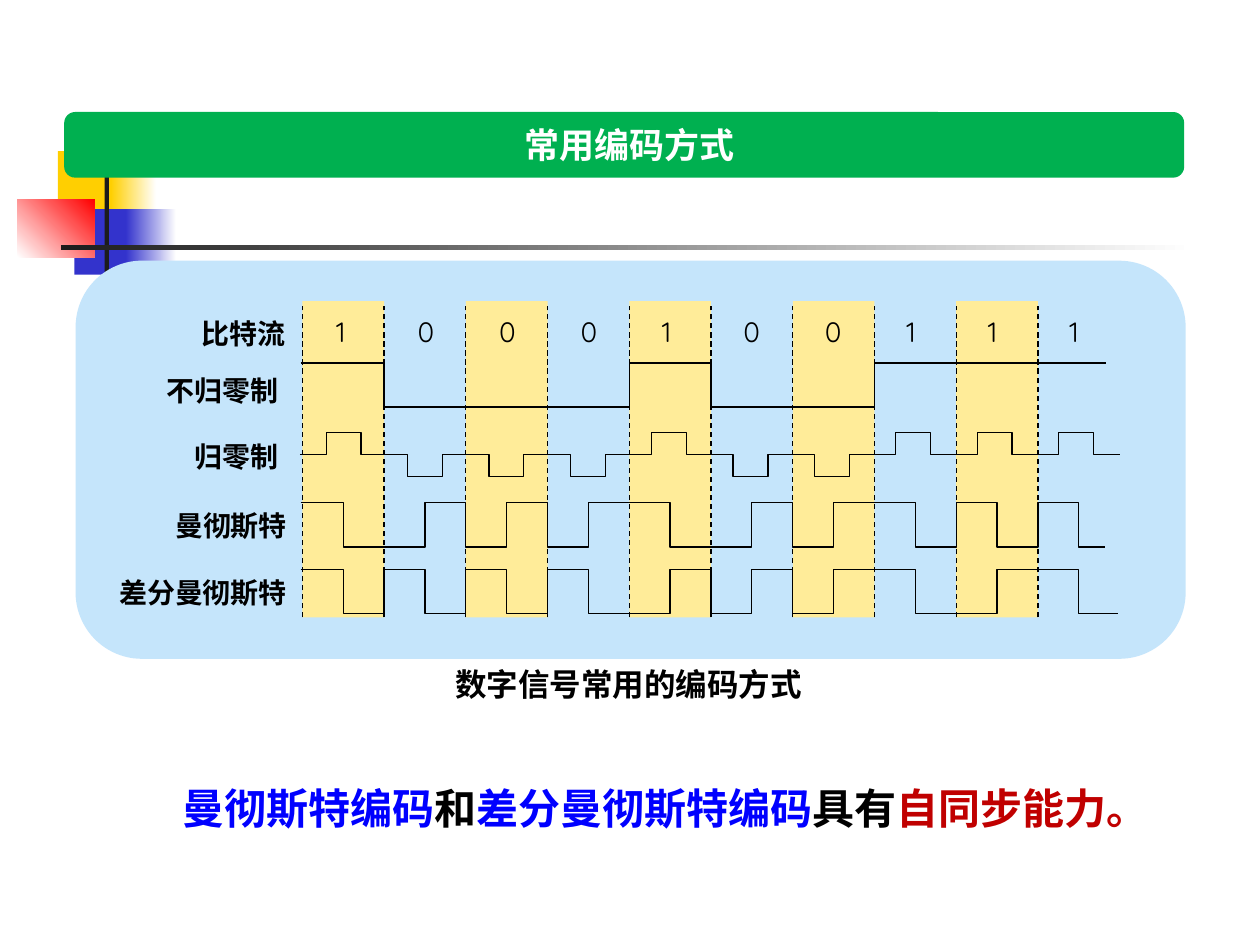
from dataclasses import dataclass

from lxml import etree
from pptx import Presentation
from pptx.dml.color import RGBColor
from pptx.enum import dml, shapes, text
from pptx.oxml import ns
from pptx.util import Pt


@dataclass(frozen=True)
class Theme:
    black: str = "000000"
    white: str = "FFFFFF"
    ink: str = "1C1C1C"
    yellow: str = "FFCF01"
    indigo: str = "3333CC"
    red: str = "FF0000"
    green: str = "00B050"
    panel: str = "C5E5FB"
    band: str = "FFEC99"
    blue: str = "0000FF"
    crimson: str = "C00000"
    cjk: str = "Noto Sans CJK SC"
    latin: str = "Cabin"
    digits: str = "Quicksand"
    title: int = 20
    caption: int = 18
    label: int = 16
    body: int = 24
    line: float = 0.75


class SlideBuilder:
    def __init__(self, prs, theme):
        self.theme = theme
        self.slide = prs.slides.add_slide(prs.slide_layouts[1])

    def style(self, r, size, color, name, bold):
        r.font.size = Pt(size)
        r.font.bold = bold
        r.font.color.rgb = RGBColor.from_string(color)
        r.font.name = name
        ea = etree.SubElement(r.font._element, ns.qn("a:ea"))
        ea.set("typeface", self.theme.cjk)

    def box(self, x, y, w, h, color, fade=None, angle=0, kind="RECTANGLE"):
        sp = self.slide.shapes.add_shape(
            shapes.MSO_SHAPE[kind], Pt(x), Pt(y), Pt(w), Pt(h))
        sp.shadow.inherit = False
        sp.line.fill.background()
        if fade:
            sp.fill.gradient()
            sp.fill.gradient_angle = angle
            for stop, value in zip(sp.fill.gradient_stops, (color, fade)):
                stop.color.rgb = RGBColor.from_string(value)
        else:
            sp.fill.solid()
            sp.fill.fore_color.rgb = RGBColor.from_string(color)

    def label(self, x, y, w, h, words, size, align="LEFT", name=None, bold=True):
        sp = self.slide.shapes.add_textbox(Pt(x), Pt(y), Pt(w), Pt(h))
        tf = sp.text_frame
        tf.word_wrap = True
        tf.text = words
        p = tf.paragraphs[0]
        p.alignment = text.PP_ALIGN[align]
        self.style(p.runs[0], size, self.theme.black, name or self.theme.cjk, bold)

    def placeholder(self, index, x, y, w, h, anchor):
        sp = self.slide.placeholders[index]
        sp.element.getparent().append(sp.element)
        sp.left, sp.top, sp.width, sp.height = Pt(x), Pt(y), Pt(w), Pt(h)
        tf = sp.text_frame
        tf.word_wrap = True
        tf.auto_size = text.MSO_AUTO_SIZE.NONE
        tf.vertical_anchor = text.MSO_ANCHOR[anchor]
        return tf.paragraphs[0]

    def title(self, x, y, w, h, words):
        p = self.placeholder(0, x, y, w, h, "MIDDLE")
        p.text = words
        p.alignment = text.PP_ALIGN.CENTER
        self.style(p.runs[0], self.theme.title, self.theme.white, self.theme.cjk, True)

    def body(self, x, y, w, h, parts):
        p = self.placeholder(1, x, y, w, h, "TOP")
        p.level = 1
        p.line_spacing = Pt(33)
        p.space_before = Pt(0)
        pPr = p._p.get_or_add_pPr()
        pPr.set("marL", str(Pt(54)))
        pPr.set("indent", "0")
        etree.SubElement(pPr, ns.qn("a:buNone"))
        for words, color in parts:
            r = p.add_run()
            r.text = words
            self.style(r, self.theme.body, color, self.theme.latin, True)

    def outline(self, sp):
        sp.line.color.rgb = RGBColor.from_string(self.theme.black)
        sp.line.width = Pt(self.theme.line)

    def line(self, x, top, bottom, dashed=False):
        sp = self.slide.shapes.add_connector(
            shapes.MSO_CONNECTOR.STRAIGHT, Pt(x), Pt(bottom), Pt(x), Pt(top))
        self.outline(sp)
        if dashed:
            sp.line.dash_style = dml.MSO_LINE.DASH
        etree.SubElement(sp.element.spPr, ns.qn("a:effectLst"))

    def wave(self, points):
        points = [(Pt(x), Pt(y)) for x, y in points]
        builder = self.slide.shapes.build_freeform(*points[0], scale=1.0)
        builder.add_line_segments(points[1:], close=False)
        sp = builder.convert_to_shape()
        sp.shadow.inherit = False
        sp.fill.background()
        self.outline(sp)


BITS = "1000100111"
LEFT, PITCH = 172.8, 46.7


def step_points(levels, high, low, end):
    width = PITCH * len(BITS) / len(levels)
    heights = [high if level else low for level in levels]
    points = [(LEFT - 1, heights[0])]
    for i in range(1, len(heights)):
        if heights[i] != heights[i - 1]:
            x = LEFT + i * width
            points += [(x, heights[i - 1]), (x, heights[i])]
    return points + [(end, heights[-1])]


def manchester(bits):
    return [level for bit in bits for level in (bit == "1", bit == "0")]


def differential(bits):
    levels = [True, False]
    for bit in bits[1:]:
        first = levels[-1] if bit == "1" else not levels[-1]
        levels += [first, not first]
    return levels


def main():
    prs = Presentation()
    prs.slide_width, prs.slide_height = Pt(720), Pt(540)
    t = Theme()
    s = SlideBuilder(prs, t)

    s.box(33.1, 86.4, 34.6, 37.4, t.yellow)
    s.box(63.4, 86.4, 25.9, 37.4, t.yellow, t.white)
    s.box(42.5, 119.5, 33.1, 37.4, t.indigo)
    s.box(72, 119.5, 28.8, 37.4, t.indigo, t.white)
    s.box(10, 113.8, 44, 33.1, t.white, t.red, 45)
    s.box(59.8, 77.8, 2.4, 82.8, t.ink)
    s.box(34.6, 140.2, 648, 2.4, t.ink, t.white)
    s.box(36.7, 64, 640, 37.5, t.green, kind="ROUNDED_RECTANGLE")
    s.title(98.6, 64, 522, 37.5, "常用编码方式")

    s.box(43.2, 149, 634.3, 227.5, t.panel, kind="ROUNDED_RECTANGLE")
    for i in range(0, len(BITS), 2):
        s.box(LEFT + i * PITCH, 172.1, PITCH, 180.7, t.band)
    for i in range(len(BITS)):
        s.line(LEFT + i * PITCH, 175, 352.8, dashed=True)
    for i, bit in enumerate(BITS):
        s.label(185 + 46.55 * i, 176.4, 24, 26.6, bit, t.label,
                name=t.digits, bold=False)

    for words, right, y in (
        ("比特流", 170, 177.1),
        ("不归零制", 166, 210.2),
        ("归零制", 166, 247.7),
        ("曼彻斯特", 171, 287.3),
        ("差分曼彻斯特", 171, 325.4),
    ):
        width = len(words) * t.label + 16
        s.label(right - width, y, width, 26.6, words, t.label, "RIGHT")

    s.wave(step_points([bit == "1" for bit in BITS], 207.4, 232.6, 632.2))
    s.wave(step_points(manchester(BITS), 287.3, 312.5, 631.4))
    s.wave(step_points(differential(BITS), 325.4, 350.6, 638.6))
    zero = 259.7
    for i, bit in enumerate(BITS):
        x = 171.4 + 46.5 * i
        peak = zero - 12.6 if bit == "1" else zero + 12.6
        s.wave([(x, zero), (x + 15, zero), (x + 15, peak),
                (x + 35, peak), (x + 35, zero), (x + 50, zero)])

    s.label(244.1, 376.6, 230.4, 29, "数字信号常用的编码方式", t.caption, "CENTER")
    s.body(43.2, 439.2, 617.8, 74.2, (
        ("曼彻斯特编码", t.blue),
        ("和", t.black),
        ("差分曼彻斯特编码", t.blue),
        ("具有", t.black),
        ("自同步能力。", t.crimson),
    ))
    prs.save("out.pptx")


if __name__ == "__main__":
    main()
